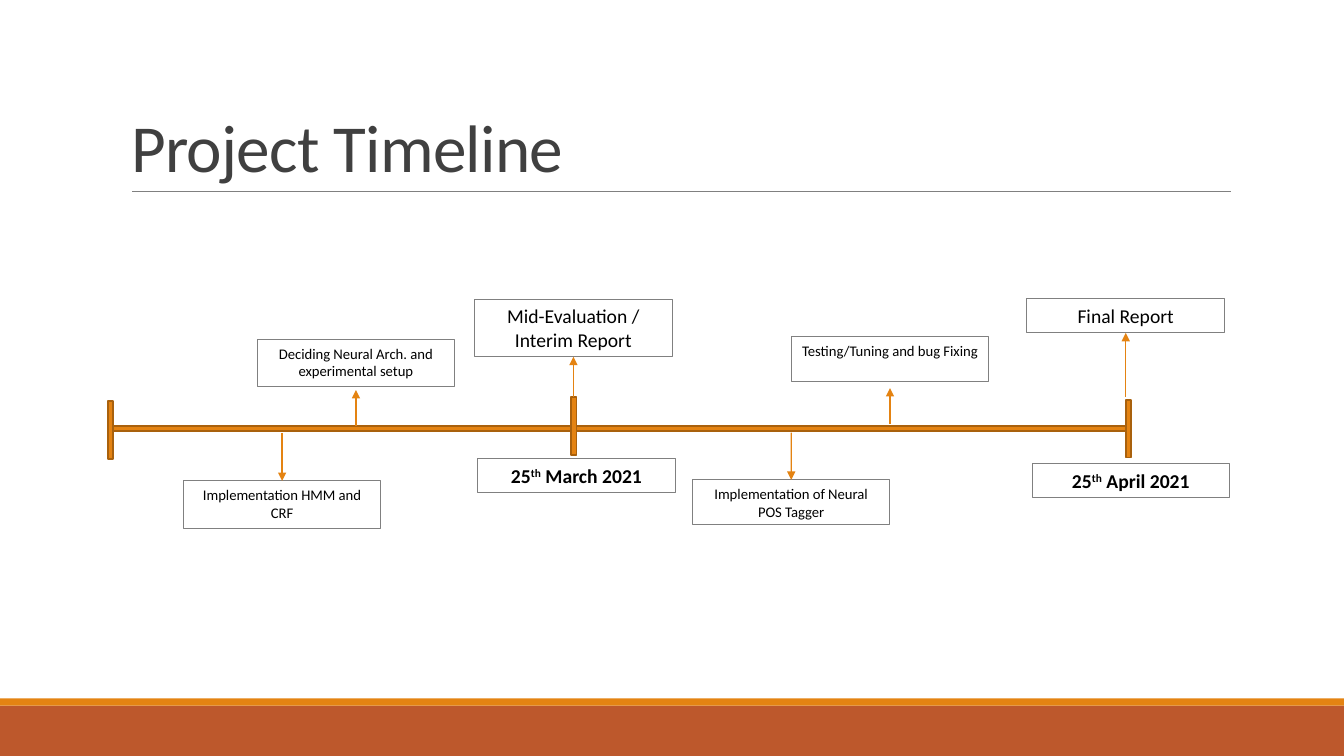
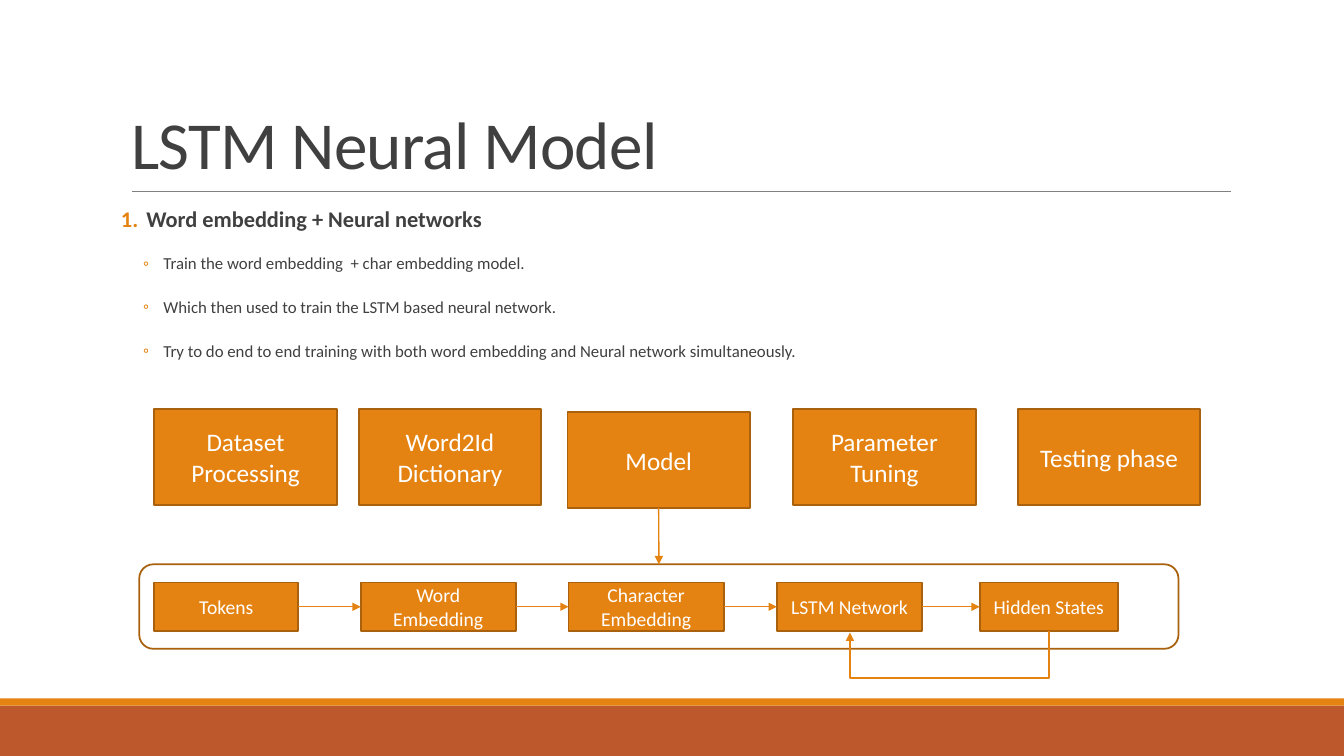
from lxml import etree
from pptx import Presentation
from pptx.dml.color import RGBColor
from pptx.enum.shapes import MSO_CONNECTOR, MSO_SHAPE
from pptx.enum.text import MSO_ANCHOR, MSO_AUTO_SIZE, PP_ALIGN
from pptx.oxml.ns import qn
from pptx.util import Cm, Pt

RECT, ROUND = MSO_SHAPE.RECTANGLE, MSO_SHAPE.ROUNDED_RECTANGLE
STRAIGHT, ELBOW = MSO_CONNECTOR.STRAIGHT, MSO_CONNECTOR.ELBOW
TOP, MIDDLE, BOTTOM = MSO_ANCHOR.TOP, MSO_ANCHOR.MIDDLE, MSO_ANCHOR.BOTTOM
LEFT, CENTER = PP_ALIGN.LEFT, PP_ALIGN.CENTER
NO_FIT = MSO_AUTO_SIZE.NONE
SIDE_TOP, SIDE_LEFT, SIDE_BOTTOM, SIDE_RIGHT = range(4)
FONT = "Calibri"
COLORS = {
    "orange": "E48312",
    "rust": "BD582C",
    "brown": "A9610D",
    "gray": "808080",
    "dark": "404040",
    "black": "000000",
    "white": "FFFFFF",
}
RGB = {name: RGBColor.from_string(value) for name, value in COLORS.items()}


def write(p, text, size=14, color="black", bold=False, align=CENTER, spacing=None):
    p.alignment = align
    for i, part in enumerate(text.split("^")):
        r = p.add_run()
        r.text = part
        r.font.name = FONT
        r.font.size = Pt(size)
        r.font.bold = bold
        r.font.color.rgb = RGB[color]
        if i % 2:
            r.font._element.set("baseline", "30000")
        if spacing:
            r.font._element.set("spc", str(spacing))


def box(s, x, y, w, h, fill="orange", line="brown", width=1.25, kind=RECT, anchor=MIDDLE):
    sp = s.shapes.add_shape(kind, Cm(x), Cm(y), Cm(w), Cm(h))
    sp.shadow.inherit = False
    if fill:
        sp.fill.solid()
        sp.fill.fore_color.rgb = RGB[fill]
    else:
        sp.fill.background()
    if line:
        sp.line.color.rgb = RGB[line]
        sp.line.width = Pt(width)
    else:
        sp.line.fill.background()
    sp.text_frame.word_wrap = True
    sp.text_frame.vertical_anchor = anchor
    return sp


prs = Presentation()
prs.slide_width, prs.slide_height = Cm(33.87), Cm(19.05)
layout = prs.slide_layouts[5]

slides = []
for title, top in [("Project Timeline", 0.79), ("LSTM Neural Model", 0.71)]:
    s = prs.slides.add_slide(layout)
    sp = s.shapes.title
    sp.left, sp.top, sp.width, sp.height = Cm(3.05), Cm(top), Cm(27.94), Cm(4.04)
    tf = sp.text_frame
    tf.auto_size = NO_FIT
    tf.word_wrap = True
    tf.vertical_anchor = BOTTOM
    p = tf.paragraphs[0]
    p.line_spacing = 0.85
    write(p, title, size=48, color="dark", align=LEFT, spacing=-50)
    slides.append(s)
timeline, model = slides

rule = timeline.shapes.add_connector(STRAIGHT, Cm(3.33), Cm(4.83), Cm(31.01), Cm(4.83))
rule.line.color.rgb = RGB["gray"]
rule.line.width = Pt(0.5)
etree.SubElement(rule.element.spPr, qn("a:effectLst"))
footer = box(timeline, 0, 17.78, 33.87, 1.27, fill="rust", line=None)
stripe = box(timeline, 0, 17.6, 33.87, 0.18, line=None)
for sp in (footer, stripe, rule):
    layout.shapes.element.append(sp.element)

arrows = []

box(timeline, 2.84, 10.74, 25.53, 0.13)
for x, y in [(2.72, 10.11), (14.4, 10.01), (28.37, 10.08)]:
    box(timeline, x, y, 0.13, 1.45)

LABEL_W = 4.98
labels = [
    ("Implementation HMM and CRF", 4.62, 12.12, 1.19, 10.5, 10.92, None),
    ("Deciding Neural Arch. and experimental setup", 6.48, 8.56, 1.19, 10.5, 10.74, 9.83),
    ("Mid-Evaluation / Interim Report", 11.96, 7.54, 1.45, 14, 10.01, None),
    ("25^th^ March 2021", 12.04, 11.56, 0.86, 14, None, None),
    ("Implementation of Neural POS Tagger", 17.45, 12.09, 1.14, 10.5, 10.9, None),
    ("Testing/Tuning and bug Fixing", 19.94, 8.48, 1.14, 10.5, 10.69, 9.78),
    ("Final Report", 25.88, 7.53, 0.86, 14, 10.01, None),
    ("25^th^ April 2021", 26.01, 11.68, 0.86, 14, None, None),
]
for text, x, y, h, size, start, end in labels:
    sp = box(timeline, x, y, LABEL_W, h, fill=None, line="gray", width=0.75, anchor=TOP)
    write(sp.text_frame.paragraphs[0], text, size=size, bold="^" in text)
    if start:
        mid = Cm(x + LABEL_W / 2)
        arrow = timeline.shapes.add_connector(STRAIGHT, mid, Cm(start), mid, Cm(end or y))
        if not end:
            arrow.end_connect(sp, SIDE_TOP if y > start else SIDE_BOTTOM)
        arrows.append(arrow)

tf = model.shapes.add_textbox(Cm(3.05), Cm(5.13), Cm(27.94), Cm(4.39)).text_frame
tf.word_wrap = True
tf.margin_left = tf.margin_right = 0
points = [
    "Word embedding + Neural networks",
    "Train the word embedding  + char embedding model.",
    "Which then used to train the LSTM based neural network.",
    "Try to do end to end training with both word embedding and Neural network simultaneously.",
]
for i, text in enumerate(points):
    head = i == 0
    p = tf.paragraphs[0] if head else tf.add_paragraph()
    p.level = 0 if head else 1
    p.line_spacing = 0.9
    p.space_before = Pt(14.2)
    p.space_after = Pt(2 if head else 4)
    write(p, text, size=16 if head else 12, color="dark", bold=head, align=LEFT)
    pPr = p._p.get_or_add_pPr()
    pPr.set("marL", str(Cm(0.64 if head else 1.07)))
    pPr.set("indent", str(Cm(-0.64 if head else -0.51)))
    buClr = etree.SubElement(pPr, qn("a:buClr"))
    etree.SubElement(buClr, qn("a:srgbClr"), val=COLORS["orange"])
    etree.SubElement(pPr, qn("a:buFont"), typeface=FONT)
    if head:
        etree.SubElement(pPr, qn("a:buAutoNum"), type="arabicPeriod")
    else:
        etree.SubElement(pPr, qn("a:buChar"), char="◦")

stages = {}
for text, x, y in [
    ("Dataset Processing", 3.89, 10.31),
    ("Word2Id Dictionary", 9.04, 10.31),
    ("Model", 14.3, 10.39),
    ("Parameter Tuning", 19.99, 10.31),
    ("Testing phase", 25.65, 10.31),
]:
    stages[text] = box(model, x, y, 4.6, 2.41)
    write(stages[text].text_frame.paragraphs[0], text, size=18, color="white")

frame = box(model, 3.51, 14.22, 26.19, 2.13, fill=None, kind=ROUND)
steps = []
for text, x, w in [
    ("Tokens", 3.89, 3.63),
    ("Word Embedding", 9.09, 3.91),
    ("Character Embedding", 14.33, 3.91),
    ("LSTM Network", 19.58, 3.66),
    ("Hidden States", 24.69, 3.48),
]:
    sp = box(model, x, 14.68, w, 1.22)
    write(sp.text_frame.paragraphs[0], text, color="white")
    steps.append(sp)

joins = [(stages["Model"], SIDE_BOTTOM, frame, SIDE_TOP)]
joins += [(a, SIDE_RIGHT, b, SIDE_LEFT) for a, b in zip(steps, steps[1:])]
for a, a_side, b, b_side in joins:
    arrow = model.shapes.add_connector(STRAIGHT, 0, 0, 0, 0)
    arrow.begin_connect(a, a_side)
    arrow.end_connect(b, b_side)
    arrows.append(arrow)

feedback = model.shapes.add_connector(ELBOW, Cm(23.91), Cm(13.41), Cm(23.95), Cm(18.43))
feedback.element.spPr.find(qn("a:xfrm")).set("rot", "5400000")
avLst = feedback.element.spPr.find(qn("a:prstGeom")).find(qn("a:avLst"))
etree.SubElement(avLst, qn("a:gd"), name="adj1", fmla="val 2975000")
arrows.append(feedback)

for arrow in arrows:
    arrow.line.color.rgb = RGB["orange"]
    arrow.line.width = Pt(1)
    etree.SubElement(arrow.line._get_or_add_ln(), qn("a:tailEnd"), type="triangle")
    etree.SubElement(arrow.element.spPr, qn("a:effectLst"))

prs.save("out.pptx")
